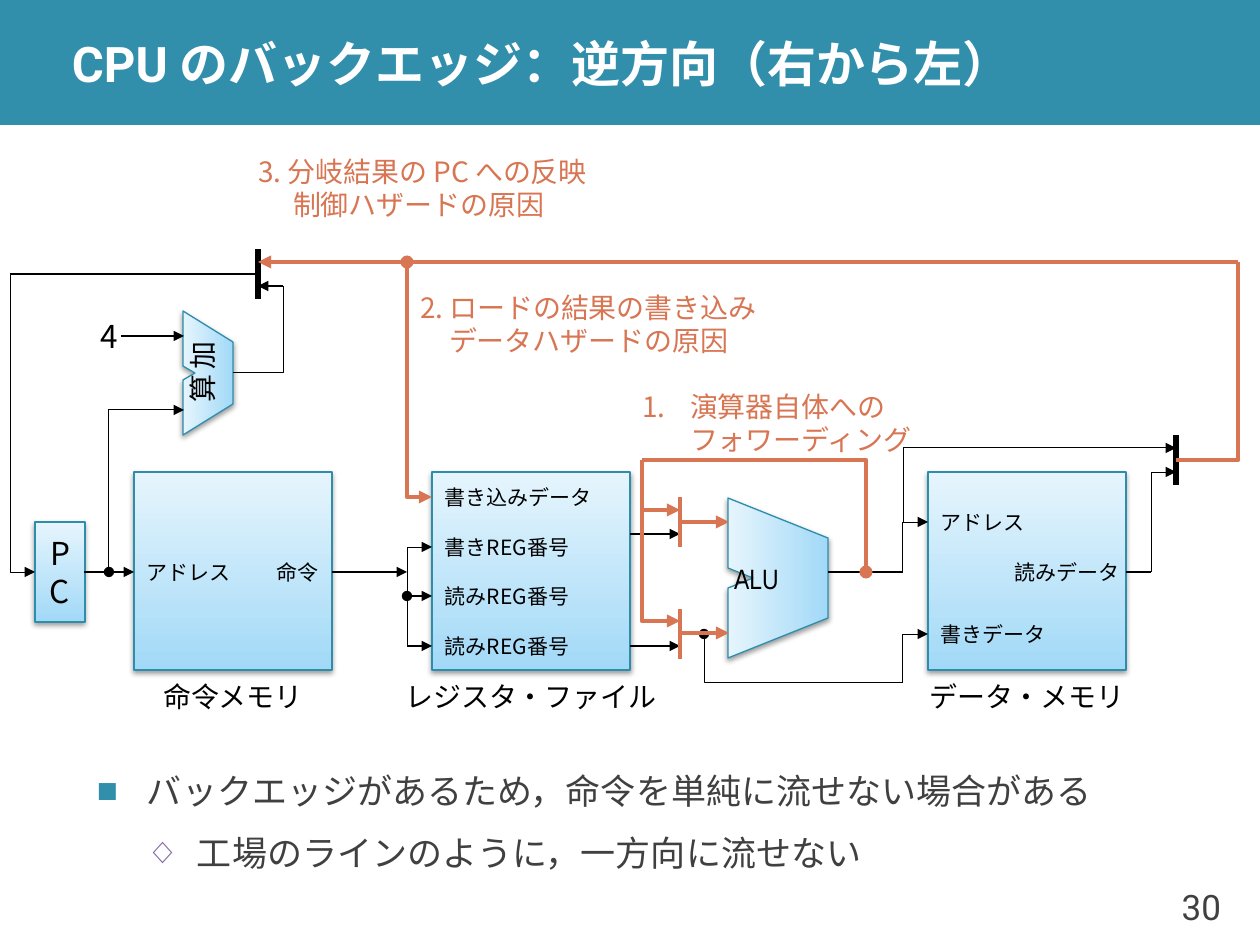
"""Build a slide on the back edges of a CPU data path."""
from lxml import etree
from pptx import Presentation
from pptx.dml.color import RGBColor
from pptx.enum.shapes import MSO_CONNECTOR, MSO_SHAPE
from pptx.enum.text import MSO_ANCHOR, MSO_AUTO_SIZE, PP_ALIGN
from pptx.oxml.ns import qn
from pptx.util import Pt

LEFT, CENTER, RIGHT = PP_ALIGN.LEFT, PP_ALIGN.CENTER, PP_ALIGN.RIGHT
MIDDLE, NO_FIT = MSO_ANCHOR.MIDDLE, MSO_AUTO_SIZE.NONE
RECT, STRAIGHT = MSO_SHAPE.RECTANGLE, MSO_CONNECTOR.STRAIGHT

SCALE = 914400 / 126
COLORS = {"band": "328FAC", "edge": "2E8DAB", "deep": "A2D9F7", "pale": "E6F5FD",
          "black": "000000", "white": "FFFFFF", "gray": "404040",
          "back": "D87552", "diamond": "8064A2"}
CJK = "Noto Sans CJK JP"
BLOCK = 198
CELL = 50


def px(n):
    return round(n * SCALE)


def rgb(name):
    return RGBColor.from_string(COLORS[name])


def assign(obj, **values):
    for key, value in values.items():
        setattr(obj, key, value)


def add(parent, tag, **attrs):
    return etree.SubElement(parent, qn(tag), {k: str(v) for k, v in attrs.items()})


class Deck:
    def __init__(self):
        self.prs = Presentation()
        assign(self.prs, slide_width=px(1260), slide_height=px(945))
        self.slide = self.prs.slides.add_slide(self.prs.slide_layouts[1])
        self.shapes = self.slide.shapes

    def fill_text(self, sp, text, size, font=CJK, color="black", align=LEFT,
                  inset=(13, 6), wrap=True, bold=False):
        tf = sp.text_frame
        mx, my = map(px, inset)
        assign(tf, text=text, word_wrap=wrap, auto_size=NO_FIT, vertical_anchor=MIDDLE,
               margin_left=mx, margin_right=mx, margin_top=my, margin_bottom=my)
        for p in tf.paragraphs:
            p.alignment = align
            for r in p.runs:
                assign(r.font, name=font, size=Pt(size), bold=bold)
                r.font.color.rgb = rgb(color)
                add(r._r.get_or_add_rPr(), "a:ea", typeface=CJK)
        return tf

    def place(self, sp, x, y, w, h):
        assign(sp, left=px(x), top=px(y), width=px(w), height=px(h))
        return sp

    def indent(self, p, width):
        pPr = p._p.get_or_add_pPr()
        pPr.set("marL", str(px(width)))
        pPr.set("indent", str(-px(min(width, CELL))))
        return pPr

    def title(self, text):
        sp = self.place(self.shapes.title, 59, 0, 1201, 125)
        self.fill_text(sp, text, 28, "Roboto", "white", inset=(13, 0), bold=True)

    def bullets(self, items):
        sp = self.place(self.slide.placeholders[1], 84, 770, 1142, 99)
        tf = self.fill_text(sp, "\n".join(i[0] for i in items), 20, "Roboto", "gray")
        for level, (p, item) in enumerate(zip(tf.paragraphs, items)):
            _, char, color, size, before, after = item
            assign(p, level=level, line_spacing=1.1,
                   space_before=Pt(before), space_after=Pt(after))
            pPr = self.indent(p, CELL * (level + 1))
            add(add(pPr, "a:buClr"), "a:srgbClr", val=COLORS[color])
            add(pPr, "a:buSzPct", val=size * 1000)
            add(pPr, "a:buChar", char=char)

    def band(self, h):
        sp = self.shapes.add_shape(RECT, 0, 0, px(1260), px(h))
        sp.shadow.inherit = False
        sp.fill.solid()
        sp.fill.fore_color.rgb = rgb("band")
        sp.line.fill.background()
        self.shapes._spTree.insert(2, sp._element)

    def glossy(self, sp):
        sp.fill.gradient()
        sp.fill.gradient_angle = 90
        for stop, name in zip(sp.fill.gradient_stops, ("deep", "pale")):
            stop.color.rgb = rgb(name)
        sp.line.color.rgb = rgb("edge")
        sp.line.width = Pt(0.75)
        sp.shadow.inherit = False
        effects = sp._element.spPr.find(qn("a:effectLst"))
        shadow = add(effects, "a:outerShdw", blurRad=Pt(3.1), dist=Pt(1.6),
                     dir=5400000, rotWithShape=0)
        add(add(shadow, "a:srgbClr", val=COLORS["black"]), "a:alpha", val=38000)
        return sp

    def block(self, x, y, w=BLOCK, h=BLOCK):
        return self.glossy(self.shapes.add_shape(RECT, px(x), px(y), px(w), px(h)))

    def unit(self, cx, cy, w, h, text, font):
        x, y = cx - w / 2, cy - h / 2
        outline = [(0, 0), (0.44, 0), (0.5, 0.25), (0.56, 0), (1, 0), (0.75, 1), (0.25, 1)]
        sp = self.glossy(self.outline([(x + w * u, y + h * v) for u, v in outline], True))
        sp.rotation = 270
        tf = self.fill_text(sp, text, 16, font, align=CENTER)
        tf._txBody.bodyPr.set("vert", "eaVert")

    def outline(self, points, close):
        fb = self.shapes.build_freeform(*points[0], scale=SCALE)
        fb.add_line_segments(points[1:], close=close)
        return fb.convert_to_shape()

    def wire(self, *points, head=None, tail="triangle", color="black", width=None):
        if len(points) == 2:
            ends = [px(n) for point in points for n in point]
            sp = self.shapes.add_connector(STRAIGHT, *ends)
        else:
            sp = self.outline(points, False)
            sp.fill.background()
        sp.line.color.rgb = rgb(color)
        sp.line.width = Pt(width or (0.75 if len(points) == 2 else 0.5))
        spPr = sp._element.spPr
        for tag, kind in (("a:headEnd", head), ("a:tailEnd", tail)):
            if kind:
                add(spPr.get_or_add_ln(), tag, type=kind)
        add(spPr, "a:effectLst")

    def back(self, *points, **ends):
        self.wire(*points, color="back", width=2.5, **ends)

    def text(self, x, y, w, h, text, size, **style):
        sp = self.shapes.add_textbox(px(x), px(y), px(w), px(h))
        return self.fill_text(sp, text, size, **style)

    def label(self, x, y, text, align=LEFT):
        self.text(x, y, CELL, CELL, text, 12, align=align, inset=(13, 0), wrap=False)

    def caption(self, x, text):
        self.text(x, 671, BLOCK, CELL, text, 16, align=CENTER, inset=(0, 0), wrap=False)

    def note(self, x, y, text, indent, numbered=False):
        tf = self.text(x, y, BLOCK, CELL, text, 16, color="back", inset=(0, 0), wrap=False)
        pPr = self.indent(tf.paragraphs[0], indent)
        if numbered:
            add(pPr, "a:buAutoNum", type="arabicPeriod")


def main():
    d = Deck()
    d.band(125)
    d.title("CPU のバックエッジ：逆方向（右から左）")
    d.bullets([("バックエッジがあるため，命令を単純に流せない場合がある", "■", "band", 100, 24, 6),
               ("工場のラインのように，一方向に流せない", "◇", "diamond", 90, 3, 3)])
    d.text(1150, 869, 84, 76, "30", 20, font="Roboto", color="gray", align=RIGHT, wrap=False)

    for x, name in ((134, "命令メモリ"), (432, "レジスタ・ファイル"), (928, "データ・メモリ")):
        d.block(x, 472)
        d.caption(x, name)
    d.fill_text(d.block(35, 522, CELL, 100), "PC", 18, align=CENTER)
    d.unit(778, 578, 161, 99, "ALU", "Arial Narrow")
    d.unit(208, 373, 124, CELL, "加算", CJK)
    d.text(84, 311, CELL, CELL, "4", 18, align=CENTER)

    for points in (
            [(84, 572), (134, 572)], [(121, 336), (184, 336)], [(332, 572), (407, 572)],
            [(10, 274), (10, 572), (35, 572)], [(407, 646), (407, 547), (432, 547)],
            [(407, 646), (432, 646)], [(630, 534), (680, 534)], [(630, 646), (680, 646)],
            [(903, 683), (903, 634), (928, 634)], [(903, 572), (903, 522), (928, 522)],
            [(903, 522), (903, 448), (1176, 448)], [(1151, 572), (1151, 472), (1176, 472)],
            [(283, 286), (258, 286)]):
        d.wire(*points)
    for points in ([(109, 572), (109, 410), (184, 410)], [(407, 596), (432, 596)]):
        d.wire(*points, head="oval")
    for points in ([(233, 373), (283, 373), (283, 286)], [(10, 274), (258, 274)],
                   [(1126, 572), (1151, 572)], [(828, 572), (903, 572)]):
        d.wire(*points, tail=None)
    d.wire((704, 634), (704, 683), (903, 683), head="oval", tail=None)
    for x, y in ((1176, 435), (258, 249)):
        d.wire((x, y), (x, y + CELL), tail=None, width=3)

    for x, y, name in ((134, 547, "アドレス"), (432, 472, "書き込みデータ"),
                       (432, 522, "書きREG番号"), (432, 571, "読みREG番号"),
                       (432, 621, "読みREG番号"), (928, 497, "アドレス"),
                       (928, 609, "書きデータ"), (1002, 547, "読みデータ")):
        d.label(x, y, name)
    d.label(282, 547, "命令", RIGHT)

    d.back((407, 262), (407, 497), (432, 497), head="oval")
    d.back((1238, 262), (258, 262))
    d.back((1176, 460), (1238, 460), (1238, 262), tail=None)
    d.back((866, 572), (866, 460), (642, 460), head="oval", tail=None)
    for top, start, y in ((497, 460, 510), (609, 510, 621)):
        d.back((680, top), (680, top + CELL), tail=None)
        d.back((642, start), (642, y), (680, y))
        d.back((680, y + 12), (729, y + 12))

    d.note(258, 163, "3. 分岐結果の PC への反映\v制御ハザードの原因", 35)
    d.note(420, 299, "2. ロードの結果の書き込み\vデータハザードの原因", 29)
    d.note(642, 398, "演算器自体への\vフォワーディング", 48, numbered=True)
    d.prs.save("out.pptx")


if __name__ == "__main__":
    main()
